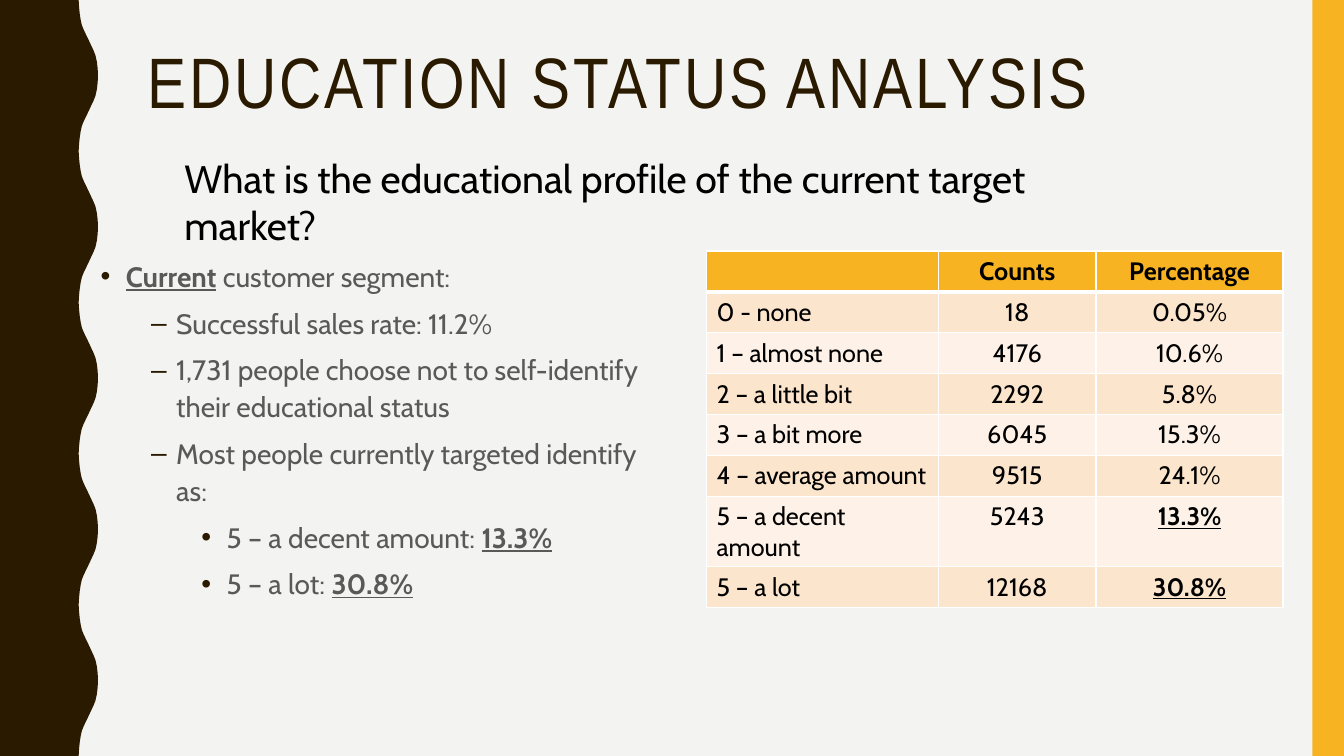
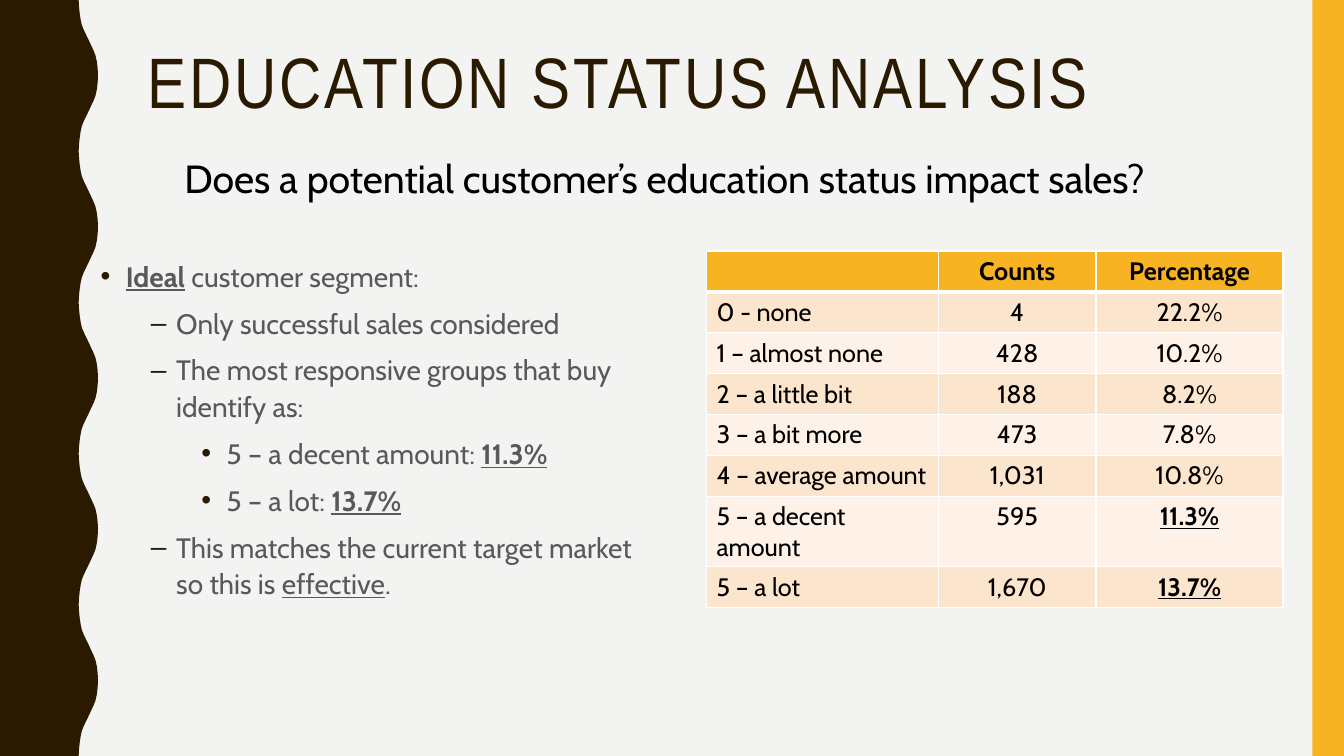
from lxml.etree import SubElement
from pptx import Presentation
from pptx.dml.color import RGBColor
from pptx.enum.shapes import MSO_SHAPE
from pptx.enum.text import PP_ALIGN
from pptx.oxml.ns import qn
from pptx.util import Pt

COLORS = {
    "background": "F3F3F2",
    "brown": "2A1A00",
    "gold": "F8B323",
    "black": "000000",
    "gray": "595959",
    "white": "FFFFFF",
    "row_dark": "FCE5CD",
    "row_light": "FEF2E8",
}
BODY_FONT = "Cabin"
TITLE = "EDUCATION STATUS ANALYSIS"
SLIDE_WIDTH, SLIDE_HEIGHT = 960, 540

# One rising half of the wavy edge, as (x, y); the falling half mirrors it
WAVE_LENGTH = 108
RISE = [(56.2, 0), (56.5, 5), (57, 10), (57.7, 14.5), (58.5, 18), (59.7, 21),
        (61.1, 24), (62.6, 27), (64, 30), (65.4, 33), (66.8, 36), (68.2, 39.5),
        (69.2, 44), (69.8, 49), (70, 54)]
WAVE = RISE + [(x, WAVE_LENGTH - y) for x, y in reversed(RISE[:-1])]

BULLETS = ["•", "–", "•"]
COLUMN_WIDTHS = [165.6, 112.6, 133.6]
ROW_HEIGHT = 29.2
HEADERS = ["", "Counts", "Percentage"]
STATUSES = ["0 - none", "1 – almost none", "2 – a little bit", "3 – a bit more",
            "4 – average amount", "5 – a decent amount", "5 – a lot "]
EMPHASIZED_ROWS = (6, 7)

# Bullets are (level, runs); a run is (text, marks) with b = bold, u = underlined
SLIDES = [
    {
        "question": "What is the educational profile of the current target market?",
        "counts": ["18", "4176", "2292", "6045", "9515", "5243", "12168"],
        "percentages": ["0.05%", "10.6%", "5.8%", "15.3%", "24.1%", "13.3%", "30.8%"],
        "body_width": 421.2,
        "bullets": [
            (0, [("Current", "bu"), (" customer segment:", "")]),
            (1, [("Successful sales rate: 11.2%", "")]),
            (1, [("1,731 people choose not to self-identify their educational status", "")]),
            (1, [("Most people currently targeted identify as:", "")]),
            (2, [("5 – a decent amount: ", ""), ("13.3%", "bu")]),
            (2, [("5 – a lot: ", ""), ("30.8%", "bu")]),
        ],
    },
    {
        "question": "Does a potential customer’s education status impact sales?",
        "counts": ["4", "428", "188", "473", "1,031", "595", "1,670"],
        "percentages": ["22.2%", "10.2%", "8.2%", "7.8%", "10.8%", "11.3%", "13.7%"],
        "body_width": 414.7,
        "bullets": [
            (0, [("Ideal", "bu"), (" customer segment:", "")]),
            (1, [("Only successful sales considered", "")]),
            (1, [("The most responsive groups that buy identify as:", "")]),
            (2, [("5 – a decent amount: ", ""), ("11.3%", "bu")]),
            (2, [("5 – a lot: ", ""), ("13.7%", "bu")]),
            (1, [("This matches the current target market so this is ", ""),
                 ("effective", "u"), (".", "")]),
        ],
    },
]


def add_run(paragraph, text, size, color, marks="", font=BODY_FONT):
    """Add one formatted run and return it."""
    run = paragraph.add_run()
    run.text = text
    run.font.name = font
    run.font.size = Pt(size)
    run.font.color.rgb = RGBColor.from_string(COLORS[color])
    run.font.bold = "b" in marks
    run.font.underline = "u" in marks
    return run


def add_text_frame(slide, left, top, width, height):
    """Add a wrapping text box and return its text frame."""
    text_box = slide.shapes.add_textbox(Pt(left), Pt(top), Pt(width), Pt(height))
    text_box.text_frame.word_wrap = True
    return text_box.text_frame


presentation = Presentation()
presentation.slide_width, presentation.slide_height = Pt(SLIDE_WIDTH), Pt(SLIDE_HEIGHT)
background = presentation.slide_master.background.fill
background.solid()
background.fore_color.rgb = RGBColor.from_string(COLORS["background"])

for content in SLIDES:
    slide = presentation.slides.add_slide(presentation.slide_layouts[6])

    # Wavy band on the left, plain band on the right
    outline = [(x, start + y) for start in range(0, SLIDE_HEIGHT, WAVE_LENGTH)
               for x, y in WAVE]
    outline.append((0, SLIDE_HEIGHT))
    builder = slide.shapes.build_freeform(0, 0)
    builder.add_line_segments([(Pt(x), Pt(y)) for x, y in outline], close=True)
    wavy_band = builder.convert_to_shape()
    right_band = slide.shapes.add_shape(
        MSO_SHAPE.RECTANGLE, Pt(937.5), Pt(0), Pt(22.5), Pt(SLIDE_HEIGHT))
    for band, color in ((wavy_band, "brown"), (right_band, "gold")):
        band.shadow.inherit = False
        band.fill.solid()
        band.fill.fore_color.rgb = RGBColor.from_string(COLORS[color])
        band.line.fill.background()

    # Title and question
    paragraph = add_text_frame(slide, 98.6, 30.2, 801.4, 117.4).paragraphs[0]
    paragraph.line_spacing = 0.9
    title_run = add_run(paragraph, TITLE, 51, "brown", font="Arial Narrow")
    title_run._r.get_or_add_rPr().set("spc", "200")
    paragraph = add_text_frame(slide, 124.6, 106.6, 711.4, 41).paragraphs[0]
    add_run(paragraph, content["question"], 28, "black")

    # Table of education statuses
    rows = [HEADERS, *zip(STATUSES, content["counts"], content["percentages"])]
    table = slide.shapes.add_table(
        len(rows), len(HEADERS), Pt(504.7), Pt(179.3),
        Pt(sum(COLUMN_WIDTHS)), Pt(ROW_HEIGHT * len(rows))).table
    for column, width in zip(table.columns, COLUMN_WIDTHS):
        column.width = Pt(width)
    for row_index, values in enumerate(rows):
        table.rows[row_index].height = Pt(ROW_HEIGHT)
        if row_index == 0:
            fill_color = "gold"
        else:
            fill_color = "row_dark" if row_index % 2 else "row_light"
        for column_index, value in enumerate(values):
            cell = table.cell(row_index, column_index)
            properties = cell._tc.get_or_add_tcPr()
            for side in ("lnL", "lnR", "lnT", "lnB"):
                under_header = (row_index, side) in ((0, "lnB"), (1, "lnT"))
                border = SubElement(properties, qn(f"a:{side}"),
                                    w=str(Pt(3 if under_header else 1)))
                border_fill = SubElement(border, qn("a:solidFill"))
                SubElement(border_fill, qn("a:srgbClr"), val=COLORS["white"])
            cell.fill.solid()
            cell.fill.fore_color.rgb = RGBColor.from_string(COLORS[fill_color])
            paragraph = cell.text_frame.paragraphs[0]
            if column_index > 0:
                paragraph.alignment = PP_ALIGN.CENTER
            marks = "b" if row_index == 0 else ""
            if column_index == 2 and row_index in EMPHASIZED_ROWS:
                marks = "bu"
            if value:
                add_run(paragraph, value, 18, "black", marks)

    # Bulleted findings
    text_frame = add_text_frame(slide, 64.8, 179.3, content["body_width"], 315.4)
    for index, (level, runs) in enumerate(content["bullets"]):
        paragraph = text_frame.add_paragraph() if index else text_frame.paragraphs[0]
        paragraph.level = level
        paragraph.line_spacing = 1.1
        paragraph.space_before = Pt(7)
        properties = paragraph._p.get_or_add_pPr()
        properties.set("marL", str(Pt(18 + 36 * level)))
        properties.set("indent", str(Pt(-18)))
        bullet_color = SubElement(properties, qn("a:buClr"))
        SubElement(bullet_color, qn("a:srgbClr"), val=COLORS["brown"])
        SubElement(properties, qn("a:buFont"), typeface="Arial")
        SubElement(properties, qn("a:buChar"), char=BULLETS[level])
        for text, marks in runs:
            add_run(paragraph, text, 20, "gray", marks)

presentation.save("out.pptx")
